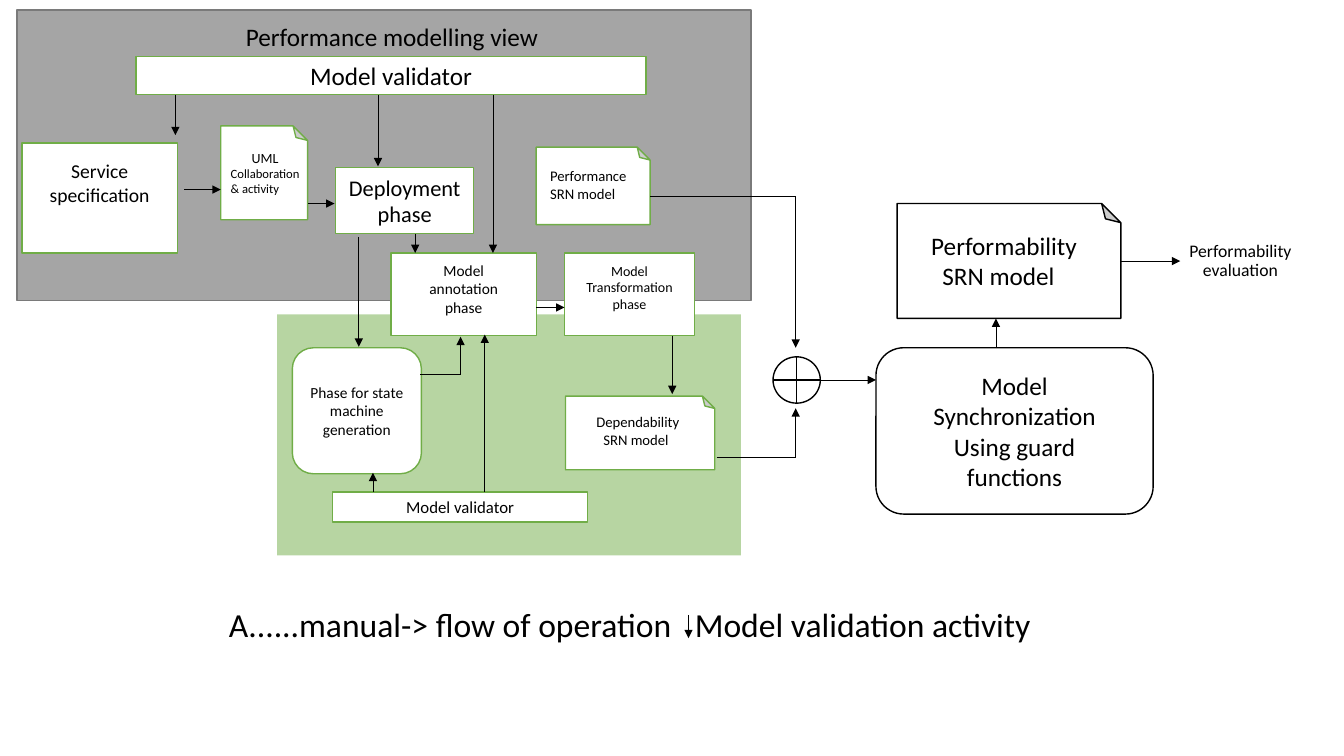
from itertools import pairwise

from lxml.etree import SubElement
from pptx import Presentation
from pptx.dml.color import RGBColor
from pptx.enum.shapes import MSO_CONNECTOR, MSO_SHAPE
from pptx.enum.text import MSO_ANCHOR, PP_ALIGN
from pptx.oxml.ns import qn
from pptx.util import Pt

FONT = "Calibri"
BLACK = RGBColor(0x00, 0x00, 0x00)
WHITE = RGBColor(0xFF, 0xFF, 0xFF)
GREEN = RGBColor(0x70, 0xAD, 0x47)
GREY = RGBColor(0xA5, 0xA5, 0xA5)
DARK_GREY = RGBColor(0x7A, 0x7A, 0x7A)

RECT, ROUND = MSO_SHAPE.RECTANGLE, MSO_SHAPE.ROUNDED_RECTANGLE
DOC, JUNCTION = MSO_SHAPE.FOLDED_CORNER, MSO_SHAPE.FLOWCHART_OR
LEFT, CENTER, RIGHT = PP_ALIGN.LEFT, PP_ALIGN.CENTER, PP_ALIGN.RIGHT

# Background areas: box, fill, outline, opacity in percent
AREAS = [
    ((12.2, 7.2, 524.2, 207.4), GREY, DARK_GREY, 100),
    ((198, 224.6, 331.2, 172.1), GREEN, None, 50),
]

# Nodes: kind, box, outline, text size, lines, extra space under the text
NODES = [
    (RECT, (97.2, 40.3, 364.3, 27.4), GREEN, 18, ["Model validator"], 0),
    (RECT, (15.8, 102.2, 110.9, 78.5), GREEN, 14, ["Service", "specification"], 22),
    (DOC, (157.7, 90, 62, 67), GREEN, 0, [], 0),
    (RECT, (239.8, 119.5, 98.6, 47.5), GREEN, 16, ["Deployment", "phase"], 0),
    (DOC, (383, 105.1, 81.4, 55.4), GREEN, 0, [], 0),
    (RECT, (279.4, 180.7, 103.7, 59), GREEN, 11, ["Model", "annotation", "phase"], 8),
    (RECT, (403.2, 180.7, 92.9, 59), GREEN, 10, ["Model", "Transformation", "phase"], 10),
    (ROUND, (208.8, 248.4, 92.2, 90), GREEN, 11, ["Phase for state machine", "generation"], 0),
    (RECT, (237.6, 351.4, 182.2, 21.6), GREEN, 12, ["Model validator"], 0),
    (DOC, (403.9, 283, 106.6, 52.6), GREEN, 0, [], 0),
    (JUNCTION, (552.2, 254.9, 33.8, 33.1), BLACK, 0, [], 0),
    (ROUND, (625.7, 248.4, 198, 118.8), BLACK, 18,
     ["Model", "Synchronization", "Using guard", "functions"], 0),
    (DOC, (640.8, 145.4, 159.8, 82.1), BLACK, 0, [], 0),
]

# Arrows: corner points, with the head at the last one
ARROWS = [
    [(125.3, 67.7), (125.3, 96.5)],
    [(270, 67.7), (270, 118.8)],
    [(352.1, 67.7), (352.1, 180.7)],
    [(131.8, 135.4), (157.7, 135.4)],
    [(220.3, 145.4), (239, 145.4)],
    [(296.6, 167), (296.6, 180.7)],
    [(256.3, 169.2), (256.3, 247.7)],
    [(383, 219.6), (403.2, 219.6)],
    [(300.2, 267.1), (329, 267.1), (329, 240.5)],
    [(266.4, 351.4), (266.4, 337.7)],
    [(346.3, 351.4), (346.3, 239)],
    [(480.2, 239.8), (480.2, 281.5)],
    [(464.4, 140.4), (568.4, 140.4), (568.4, 248.4)],
    [(511.9, 326.9), (568.4, 326.9), (568.4, 291.6)],
    [(585.4, 271.4), (625.7, 271.4)],
    [(711.4, 248.4), (711.4, 227.5)],
    [(800.6, 186.5), (843.1, 186.5)],
    [(491.8, 439.2), (491.8, 455.8)],
]

# Labels: box, alignment, line spacing, lines of (text, size, left margin)
LABELS = [
    ((168.5, 11.5, 240, 29), LEFT, 1, [("Performance modelling view", 18, 0)]),
    ((157.7, 103, 71.3, 46), LEFT, 1,
     [("UML", 10, 15), ("Collaboration", 9, 0), ("& activity", 9, 0)]),
    ((385.9, 115.9, 75, 40), LEFT, 1, [("Performance", 10.5, 0), ("SRN model", 10.5, 0)]),
    ((419, 291.6, 80, 33), LEFT, 1, [("Dependability", 10.5, 0), ("SRN model", 10.5, 5)]),
    ((658.1, 160.6, 137.5, 51), LEFT, 1, [("Performability", 18, 0), ("SRN model", 18, 8)]),
    ((812.2, 169.2, 147.6, 29.5), CENTER, 0.9, [("Performability\vevaluation", 12.6, 0)]),
    ((144.7, 431.3, 342, 34), RIGHT, 0.9, [("A......manual-> flow of operation", 24, 0)]),
    ((489.2, 431.3, 270, 34), LEFT, 0.9, [("Model validation activity", 24, 0)]),
]


def write(tf, lines, align, spacing=1):
    tf.word_wrap = True
    for i, (text, size, margin) in enumerate(lines):
        p = tf.add_paragraph() if i else tf.paragraphs[0]
        p.text = text
        p.alignment, p.line_spacing = align, spacing
        p.font.name, p.font.size, p.font.color.rgb = FONT, Pt(size), BLACK
        if margin:
            p._p.get_or_add_pPr().set("marL", str(Pt(margin)))


def add_box(kind, box, fill, outline):
    sp = s.shapes.add_shape(kind, *map(Pt, box))
    sp.shadow.inherit = False
    sp.fill.solid()
    sp.fill.fore_color.rgb = fill
    if outline is None:
        sp.line.fill.background()
    else:
        sp.line.color.rgb, sp.line.width = outline, Pt(1)
    return sp


def add_line(start, end, head):
    line = s.shapes.add_connector(MSO_CONNECTOR.STRAIGHT, *map(Pt, start + end))
    line.line.color.rgb, line.line.width = BLACK, Pt(0.5)
    if head:
        SubElement(line.line._get_or_add_ln(), qn("a:tailEnd"), type="triangle")
    SubElement(line._element.spPr, qn("a:effectLst"))


prs = Presentation()
prs.slide_width, prs.slide_height = Pt(960), Pt(540)
s = prs.slides.add_slide(prs.slide_layouts[6])

# Areas
for box, fill, outline, opacity in AREAS:
    sp = add_box(RECT, box, fill, outline)
    if opacity < 100:
        color = sp._element.spPr.find(qn("a:solidFill"))[0]
        SubElement(color, qn("a:alpha"), val=str(opacity * 1000))

# Nodes
for kind, box, outline, size, lines, space_below in NODES:
    sp = add_box(kind, box, WHITE, outline)
    if kind == DOC:
        sp._element.spPr.find(qn("a:xfrm")).set("flipV", "1")
    if lines:
        tf = sp.text_frame
        tf.vertical_anchor = MSO_ANCHOR.MIDDLE
        tf.margin_bottom = Pt(3.6 + space_below)
        write(tf, [(text, size, 0) for text in lines], CENTER)

# Arrows
for points in ARROWS:
    for start, end in pairwise(points):
        add_line(start, end, head=end == points[-1])

# Labels
for box, align, spacing, lines in LABELS:
    write(s.shapes.add_textbox(*map(Pt, box)).text_frame, lines, align, spacing)

prs.save("out.pptx")
